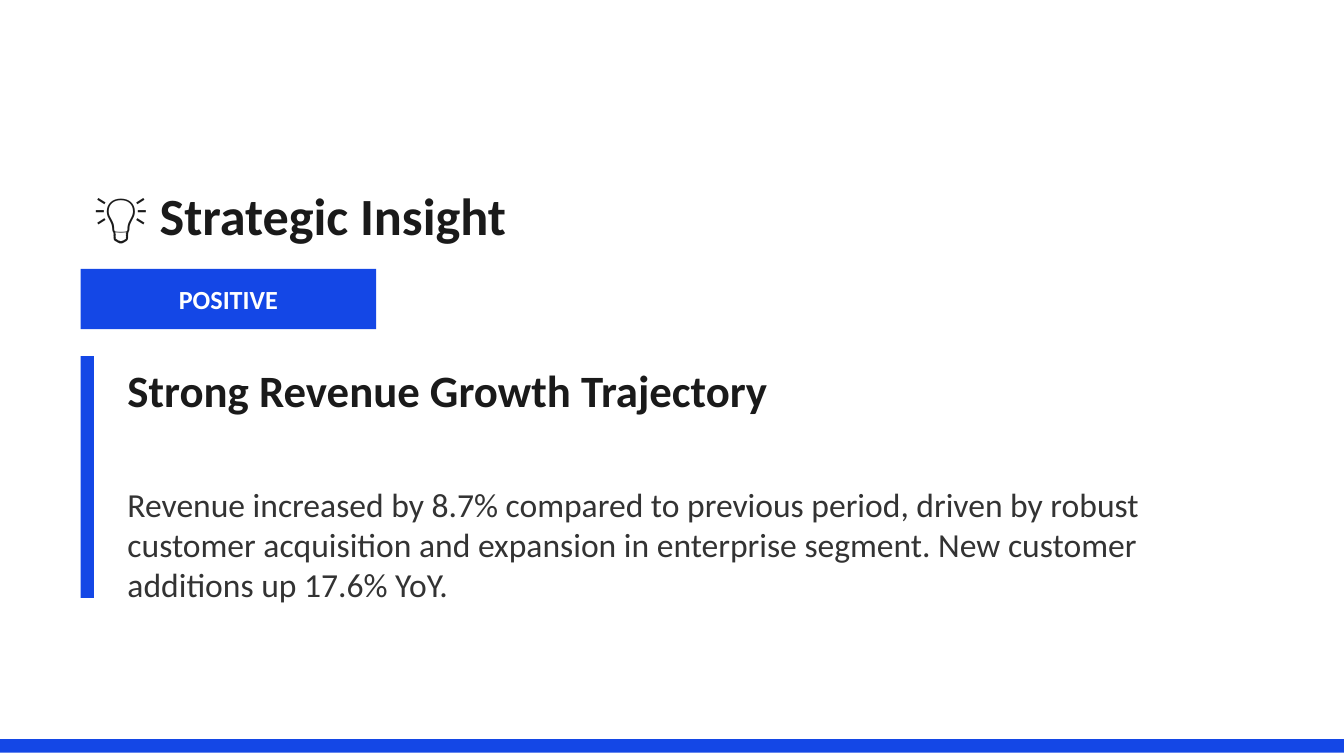
from dataclasses import dataclass

import pptx
import pptx.dml.color
import pptx.enum.shapes
import pptx.enum.text
import pptx.slide
import pptx.util

Pt = pptx.util.Pt
RGBColor = pptx.dml.color.RGBColor
Align = pptx.enum.text.PP_ALIGN
Anchor = pptx.enum.text.MSO_ANCHOR

BLUE = RGBColor(0x14, 0x47, 0xE6)
INK = RGBColor(0x1A, 0x1A, 0x1A)
GREY = RGBColor(0x33, 0x33, 0x33)
WHITE = RGBColor(0xFF, 0xFF, 0xFF)

SLIDE_WIDTH, SLIDE_HEIGHT = 720, 405
MARGIN = 43.2
BODY_LEFT, BODY_WIDTH = 61.2, 586.8
CARD_TOP = 190.8


@dataclass(frozen=True)
class Box:
    left: float
    top: float
    width: float
    height: float

    def lengths(self) -> list[pptx.util.Length]:
        return [Pt(value) for value in (self.left, self.top, self.width, self.height)]


@dataclass(frozen=True)
class Label:
    box: Box
    wording: str
    size: float
    color: RGBColor
    bold: bool = True
    align: Align = Align.LEFT
    anchor: Anchor = Anchor.TOP


BADGE = Box(MARGIN, 144, 158.4, 32.4)
ACCENT = Box(MARGIN, CARD_TOP, 7.2, 129.6)
FOOTER = Box(0, 396, SLIDE_WIDTH, 7.2)

LABELS = [
    Label(Box(MARGIN, 93.6, 612, 43.2), "💡 Strategic Insight", 28, INK,
          anchor=Anchor.MIDDLE),
    Label(BADGE, "POSITIVE", 14, WHITE, align=Align.CENTER, anchor=Anchor.MIDDLE),
    Label(Box(BODY_LEFT, CARD_TOP, BODY_WIDTH, 57.6),
          "Strong Revenue Growth Trajectory", 24, INK),
    Label(Box(BODY_LEFT, 255.6, BODY_WIDTH, 122.4),
          "Revenue increased by 8.7% compared to previous period, driven by robust "
          "customer acquisition and expansion in enterprise segment. "
          "New customer additions up 17.6% YoY.", 18, GREY, bold=False),
]


def draw_bar(slide: pptx.slide.Slide, box: Box) -> None:
    bar = slide.shapes.add_shape(
        pptx.enum.shapes.MSO_SHAPE.RECTANGLE, *box.lengths())
    bar.shadow.inherit = False
    bar.fill.solid()
    bar.fill.fore_color.rgb = BLUE
    bar.line.fill.background()


def draw_label(slide: pptx.slide.Slide, label: Label) -> None:
    frame = slide.shapes.add_textbox(*label.box.lengths()).text_frame
    frame.word_wrap = True
    frame.vertical_anchor = label.anchor
    paragraph = frame.paragraphs[0]
    paragraph.alignment = label.align
    wording = paragraph.add_run()
    wording.text = label.wording
    wording.font.color.rgb = label.color
    font_format = {"name": "Calibri", "size": Pt(label.size), "bold": label.bold}
    for attribute, value in font_format.items():
        setattr(wording.font, attribute, value)


def main() -> None:
    deck = pptx.Presentation()
    deck.slide_width, deck.slide_height = Pt(SLIDE_WIDTH), Pt(SLIDE_HEIGHT)
    insight = deck.slides.add_slide(deck.slide_layouts[6])
    insight.background.fill.solid()
    insight.background.fill.fore_color.rgb = WHITE
    for box in (BADGE, ACCENT, FOOTER):
        draw_bar(insight, box)
    for label in LABELS:
        draw_label(insight, label)
    deck.save("out.pptx")


if __name__ == "__main__":
    main()
